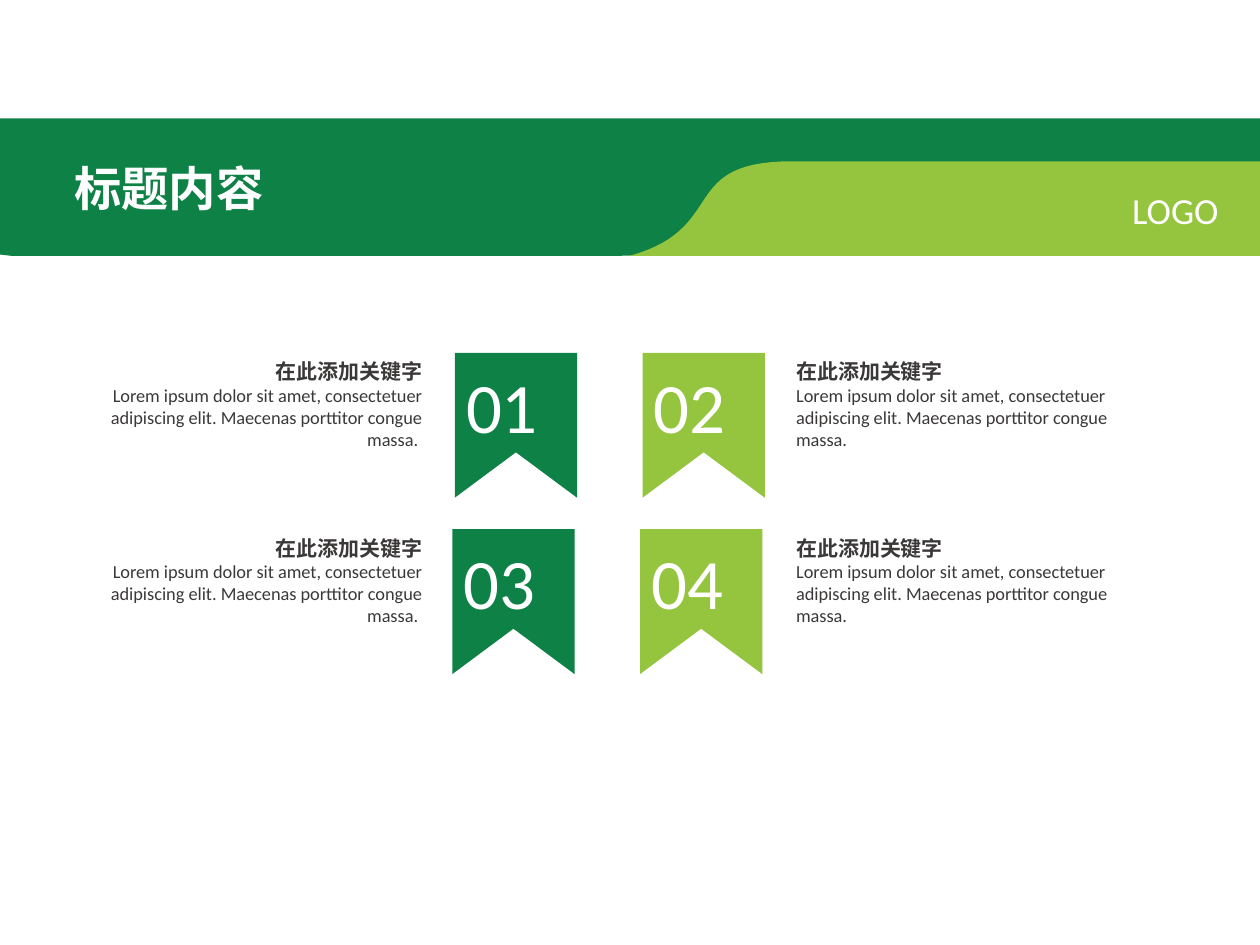
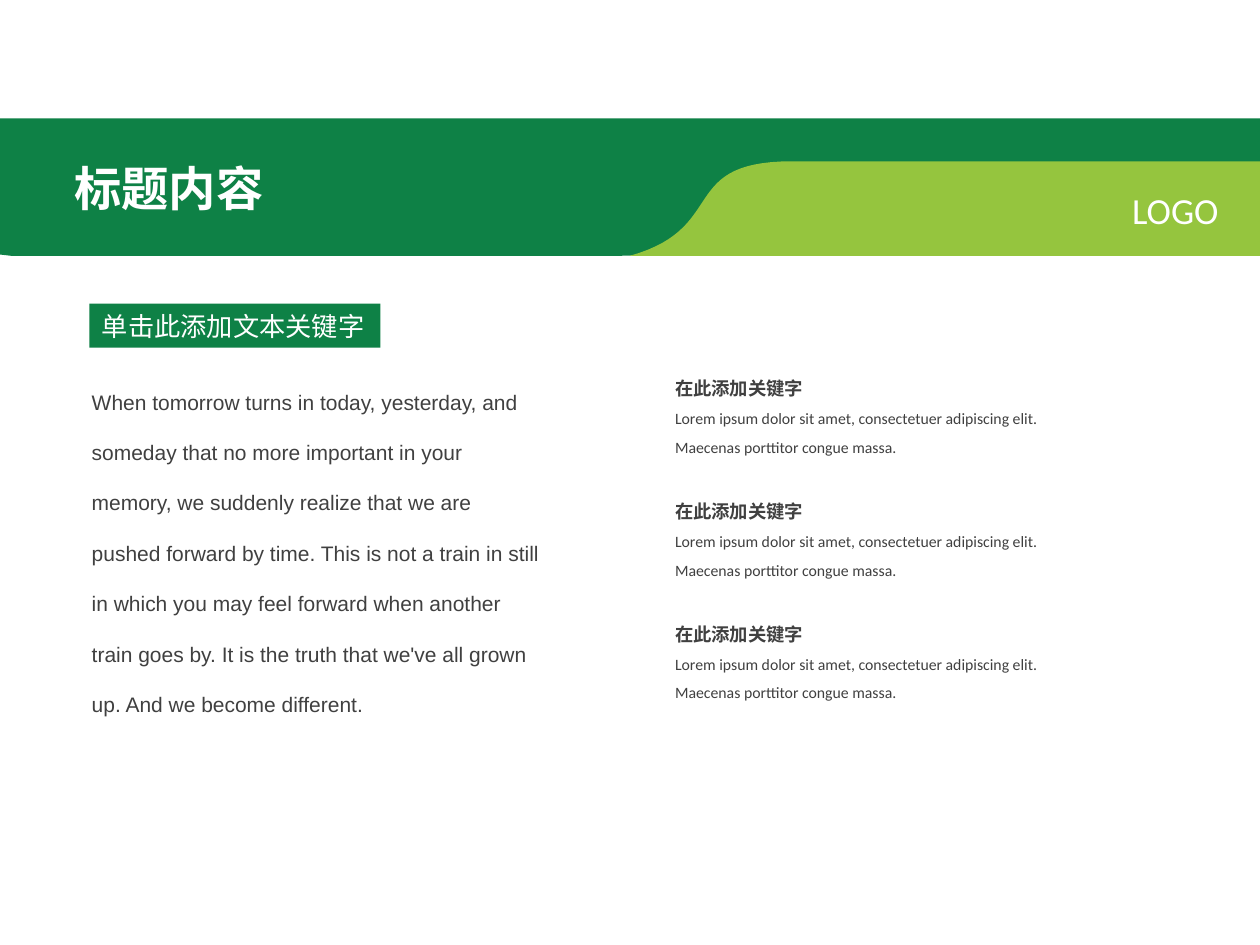
from pptx import Presentation
from pptx.dml.color import RGBColor
from pptx.enum import shapes, text
from pptx.util import Inches, Pt

COLORS = {"green": "0E8146", "lime": "95C53E", "white": "FFFFFF",
          "dark": "3B3838", "gray": "404040"}
LEFT, RIGHT = text.PP_ALIGN.LEFT, text.PP_ALIGN.RIGHT
TOP, MID = text.MSO_ANCHOR.TOP, text.MSO_ANCHOR.MIDDLE

TITLE = "标题内容"
LOGO = "LOGO"
KEY = "在此添加关键字"
LOREM = ("Lorem ipsum dolor sit amet, consectetuer adipiscing elit. "
         "Maecenas porttitor congue massa.")
LABEL = "单击此添加文本关键字"
STORY = ("When tomorrow turns in today, yesterday, and someday that no more "
         "important in your memory, we suddenly realize that we are pushed "
         "forward by time. This is not a train in still in which you may feel "
         "forward when another train goes by. It is the truth that we've all "
         "grown up. And we become different.")

# number, ribbon left, card left, top, fill, card alignment
CARDS = [
    ("01", 3.61, 0.73, 2.8, "green", RIGHT),
    ("02", 5.1, 6.22, 2.8, "lime", LEFT),
    ("03", 3.59, 0.73, 4.2, "green", RIGHT),
    ("04", 5.08, 6.22, 4.2, "lime", LEFT),
]
POINTS = [(KEY, LOREM)] * 3


def rgb(name):
    return RGBColor.from_string(COLORS[name])


def curve(a, b, c, d, steps=30):
    """Points along a cubic Bezier curve, without its start."""
    def at(t, i):
        s = 1 - t
        return (s**3 * a[i] + 3 * s * s * t * b[i]
                + 3 * s * t * t * c[i] + t**3 * d[i])
    return [(at(n / steps, 0), at(n / steps, 1)) for n in range(1, steps + 1)]


def paint(shape, fill):
    shape.shadow.inherit = False
    shape.fill.solid()
    shape.fill.fore_color.rgb = rgb(fill)
    shape.line.fill.background()


def outline(slide, points, fill):
    spots = [(Inches(x), Inches(y)) for x, y in points]
    form = slide.shapes.build_freeform(*spots[0])
    form.add_line_segments(spots[1:], close=True)
    shape = form.convert_to_shape()
    paint(shape, fill)
    return shape


def write(shape, lines, color, align=LEFT, anchor=TOP, space=None, font="Calibri"):
    """Fill a shape with (text, size, bold) lines."""
    frame = shape.text_frame
    frame.word_wrap = True
    frame.auto_size = text.MSO_AUTO_SIZE.NONE
    frame.vertical_anchor = anchor
    frame.text = "\n".join(line[0] for line in lines)
    for para, (_, size, bold) in zip(frame.paragraphs, lines):
        para.alignment = align
        if space:
            para.line_spacing = space
        for run in para.runs:
            run.font.name = font
            run.font.size = Pt(size)
            run.font.bold = bold
            run.font.color.rgb = rgb(color)


def textbox(slide, box, lines, color, **style):
    shape = slide.shapes.add_textbox(*map(Inches, box))
    write(shape, lines, color, **style)


def new_slide(deck):
    """Add a slide with the bands, title and logo text."""
    slide = deck.slides.add_slide(deck.slide_layouts[5])
    swoop = curve((6.07, 1.36), (5.46, 1.59), (5.77, 2.03), (4.91, 2.03))
    outline(slide, [(0, 0.94), (10, 0.94), (10, 1.31), (6.2, 1.31), (6.07, 1.36),
                    *swoop, (0.09, 2.03), (0, 2.02)], "green")
    rise = curve((5, 2.03), (5.79, 1.81), (5.37, 1.28), (6.29, 1.28))
    outline(slide, [(10, 1.28), (10, 2.03), (5, 2.03), *rise], "lime")
    title = slide.shapes.title
    title.left, title.top = Inches(0.49), Inches(1.21)
    title.width, title.height = Inches(1.72), Inches(0.56)
    write(title, [(TITLE, 27, True)], "white")
    slide.shapes._spTree.append(title._element)  # in front of the bands
    textbox(slide, (8.72, 1.44, 1.05, 0.45), [(LOGO, 21, False)], "white", align=RIGHT)
    return slide


def ribbon(slide, left, top, number, fill):
    wide, high, notch = 0.97, 1.15, 0.79
    right, foot = left + wide, top + high
    shape = outline(slide, [(left, top), (right, top), (right, foot),
                            (left + wide / 2, top + notch), (left, foot)], fill)
    frame = shape.text_frame
    frame.margin_left = frame.margin_top = 0
    frame.margin_right, frame.margin_bottom = Inches(0.22), Inches(0.32)
    write(shape, [(number, 40.5, False)], "white",
          align=text.PP_ALIGN.CENTER, anchor=MID)


def cards(deck):
    slide = new_slide(deck)
    for number, left, side, top, fill, align in CARDS:
        ribbon(slide, left, top, number, fill)
        body = LOREM + " " if align == RIGHT else LOREM
        textbox(slide, (side, top, 2.72, 0.83),
                [(KEY, 12, True), (body, 10.5, False)], "dark", align=align)


def story(deck):
    slide = new_slide(deck)
    label = slide.shapes.add_shape(shapes.MSO_SHAPE.RECTANGLE,
                                   *map(Inches, (0.71, 2.41, 2.31, 0.35)))
    paint(label, "green")
    label.text_frame.margin_right = 0
    write(label, [(LABEL, 15, False)], "white", anchor=MID)
    textbox(slide, (0.63, 2.84, 3.8, 2.87), [(STORY, 12, False)], "gray",
            space=2, font="Arial")
    for row, (head, body) in enumerate(POINTS):
        textbox(slide, (5.26, 2.86 + row * 0.975, 3.37, 0.79),
                [(head, 10.5, True), (body, 9, False)], "gray", space=1.5)


def main():
    deck = Presentation()
    deck.slide_width, deck.slide_height = Inches(10), Inches(7.5)
    cards(deck)
    story(deck)
    deck.save("out.pptx")


if __name__ == "__main__":
    main()
